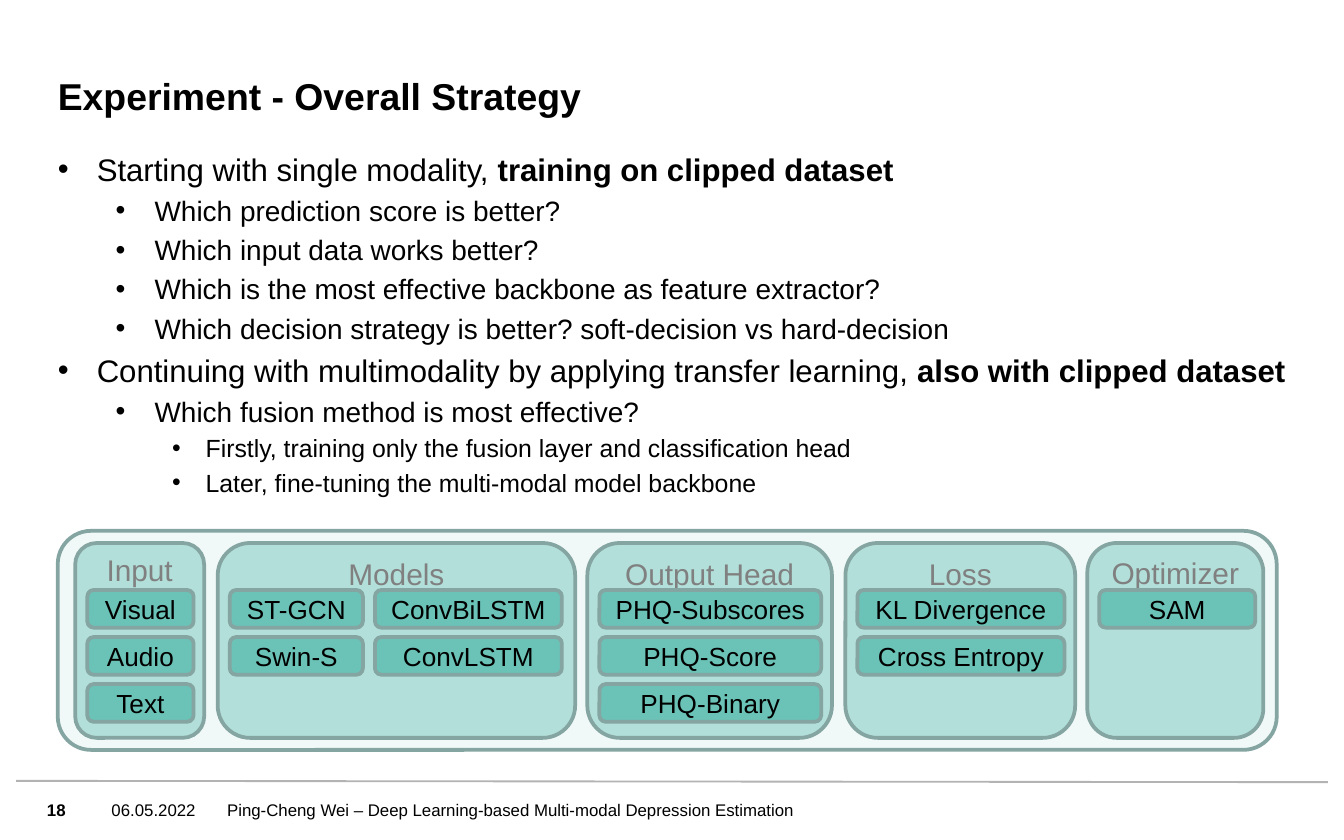
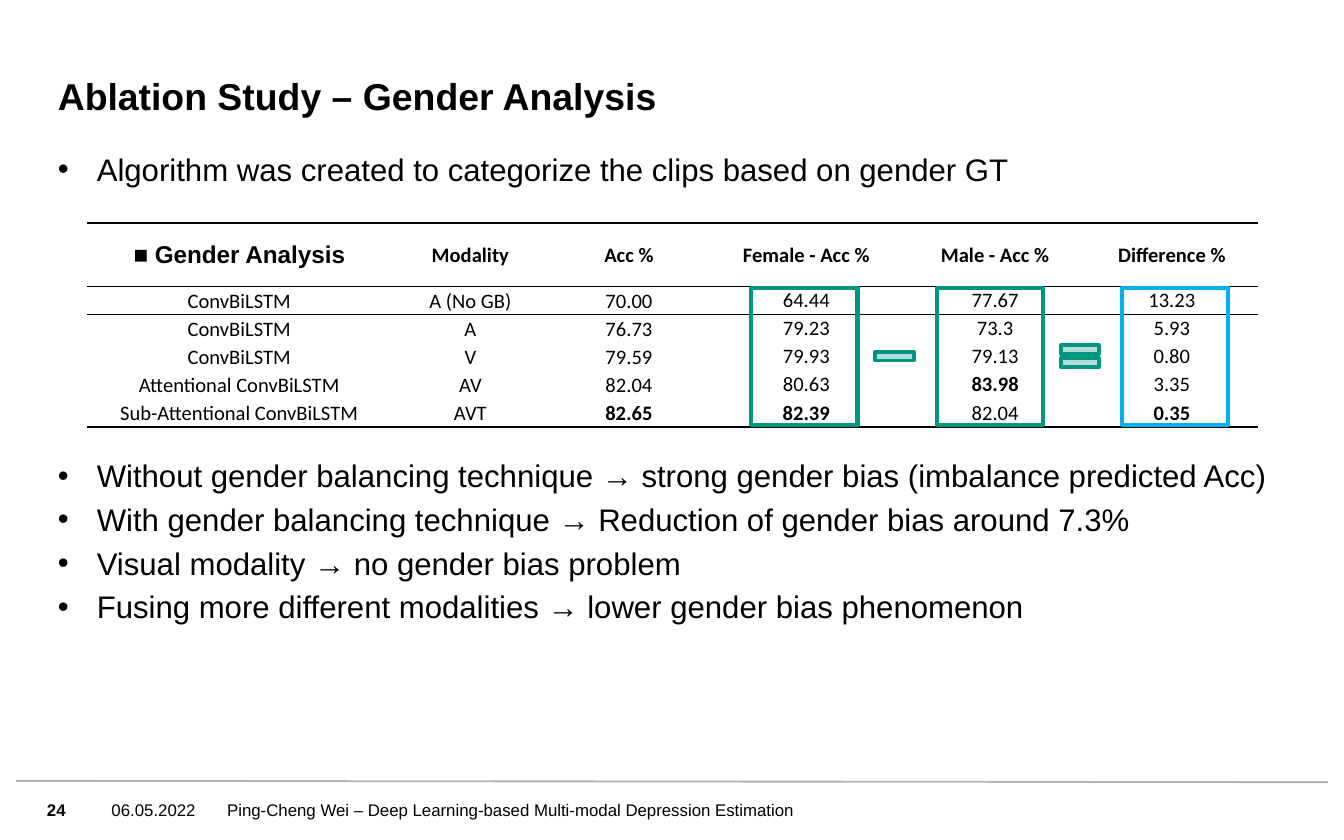
"""Build two slides on experiment strategy and gender analysis for depression estimation."""
import pptx
import pptx.dml.color
import pptx.enum.shapes
import pptx.enum.text
import pptx.oxml.ns
import pptx.util
from lxml import etree

Inches = pptx.util.Inches
Pt = pptx.util.Pt
RGBColor = pptx.dml.color.RGBColor
SHAPE = pptx.enum.shapes.MSO_SHAPE
ANCHOR = pptx.enum.text.MSO_ANCHOR
CENTER = pptx.enum.text.PP_ALIGN.CENTER
LEFT = pptx.enum.text.PP_ALIGN.LEFT
qn = pptx.oxml.ns.qn

BLACK = RGBColor(0x00, 0x00, 0x00)
GRAY = RGBColor(0x80, 0x80, 0x80)
RULE_GRAY = RGBColor(0xB3, 0xB3, 0xB3)
FRAME_MINT = RGBColor(0xF0, 0xF9, 0xF7)
PANEL_MINT = RGBColor(0xB2, 0xDF, 0xD9)
CHIP_TEAL = RGBColor(0x6B, 0xC2, 0xB6)
EDGE_TEAL = RGBColor(0x84, 0xA5, 0xA1)
GREEN = RGBColor(0x00, 0x96, 0x82)
BLUE = RGBColor(0x00, 0xB0, 0xF0)

NO_MARGINS = dict(margin_left=0, margin_top=0, margin_right=0, margin_bottom=0)
PLAIN_FRAME = dict(NO_MARGINS, word_wrap=True, auto_size=pptx.enum.text.MSO_AUTO_SIZE.NONE)
CELL_FORMAT = dict(margin_left=Inches(0.01), margin_top=Inches(0.01),
                   margin_right=Inches(0.01), margin_bottom=0)
LEVELS = [(16.7, 0.29, 0.29), (15, 0.72, 0.29), (13.3, 1.1, 0.25)]
TABLE_GAP = 144


def write(paragraph, text, size, color=BLACK, bold=False, align=LEFT, font="Arial"):
    paragraph.alignment = align
    run = paragraph.add_run()
    run.text = text
    for name, value in dict(name=font, size=Pt(size), bold=bold).items():
        setattr(run.font, name, value)
    run.font.color.rgb = color


def add_block(slide, kind, box, fill, edge, weight=2, text="", size=14, color=BLACK,
              anchor=ANCHOR.MIDDLE, top_margin=0):
    block = slide.shapes.add_shape(kind, *map(Inches, box))
    block.shadow.inherit = False
    if fill is None:
        block.fill.background()
    else:
        block.fill.solid()
        block.fill.fore_color.rgb = fill
    block.line.color.rgb = edge
    block.line.width = Pt(weight)
    if text:
        block_format = dict(PLAIN_FRAME, vertical_anchor=anchor, margin_top=Inches(top_margin))
        for name, value in block_format.items():
            setattr(block.text_frame, name, value)
        write(block.text_frame.paragraphs[0], text, size, color, align=CENTER)
    return block


deck = pptx.Presentation()
deck.slide_width, deck.slide_height = Inches(10), Inches(6.25)

contents = [
    ("18", "Experiment - Overall Strategy", [
        (0, "Starting with single modality, ", "training on clipped dataset", None),
        (1, "Which prediction score is better?", "", None),
        (1, "Which input data works better?", "", None),
        (1, "Which is the most effective backbone as feature extractor?", "", None),
        (1, "Which decision strategy is better? soft-decision vs hard-decision", "", None),
        (0, "Continuing with multimodality by applying transfer learning, ",
         "also with clipped dataset", None),
        (1, "Which fusion method is most effective?", "", None),
        (2, "Firstly, training only the fusion layer and classification head", "", None),
        (2, "Later, fine-tuning the multi-modal model backbone", "", None),
    ]),
    ("24", "Ablation Study – Gender Analysis", [
        (0, "Algorithm was created to categorize the clips based on gender GT", "", None),
        (0, "Without gender balancing technique → strong gender bias (imbalance predicted Acc)",
         "", TABLE_GAP),
        (0, "With gender balancing technique → Reduction of gender bias around 7.3%", "", None),
        (0, "Visual modality → no gender bias problem", "", None),
        (0, "Fusing more different modalities → lower gender bias phenomenon", "", None),
    ]),
]

for number, heading, points in contents:
    slide = deck.slides.add_slide(deck.slide_layouts[1])
    title, body = slide.placeholders
    for holder, box, anchor in [(title, (0.43, 0.37, 7.56, 0.51), ANCHOR.BOTTOM),
                                (body, (0.43, 1.12, 9.14, 4.46), ANCHOR.TOP)]:
        holder.left, holder.top, holder.width, holder.height = map(Inches, box)
        for name, value in dict(PLAIN_FRAME, vertical_anchor=anchor).items():
            setattr(holder.text_frame, name, value)
    write(title.text_frame.paragraphs[0], heading, 20, bold=True)

    for index, (level, plain, strong, gap) in enumerate(points):
        point = body.text_frame.add_paragraph() if index else body.text_frame.paragraphs[0]
        size, margin, hanging = LEVELS[level]
        point.level = level
        if index == 0:
            point.space_before = Pt(0)
        elif gap:
            point.space_before = Pt(gap)
        properties = point._p.get_or_add_pPr()
        properties.set("marL", str(Inches(margin)))
        properties.set("indent", str(-Inches(hanging)))
        etree.SubElement(properties, qn("a:buFont"), typeface="Arial")
        etree.SubElement(properties, qn("a:buChar"), char="•")
        write(point, plain, size)
        if strong:
            write(point, strong, size, bold=True)

    footer_rule = slide.shapes.add_connector(
        pptx.enum.shapes.MSO_CONNECTOR.STRAIGHT,
        Inches(0.12), Inches(5.81), Inches(9.88), Inches(5.82))
    footer_rule.line.color.rgb = RULE_GRAY
    footer_rule.line.width = Pt(1)
    etree.SubElement(footer_rule._element.spPr, qn("a:effectLst"))
    for left, width, words, bold in [
        (0.35, 0.36, number, True),
        (0.83, 0.94, "06.05.2022", False),
        (1.69, 5.2, "Ping-Cheng Wei – Deep Learning-based Multi-modal Depression Estimation", False),
    ]:
        footer = slide.shapes.add_textbox(Inches(left), Inches(5.83), Inches(width), Inches(0.39))
        for name, value in dict(PLAIN_FRAME, vertical_anchor=ANCHOR.MIDDLE).items():
            setattr(footer.text_frame, name, value)
        write(footer.text_frame.paragraphs[0], words, 9, bold=bold)

strategy, ablation = deck.slides

pipeline = add_block(strategy, SHAPE.ROUNDED_RECTANGLE, (0.43, 3.95, 9.07, 1.63),
                     FRAME_MINT, EDGE_TEAL)
pipeline.adjustments[0] = 0.152
stages = [
    ("Input", 0.56, 0.96, [(0.79, ["Visual", "Audio", "Text"])]),
    ("Models", 1.62, 2.66, [(0.99, ["ST-GCN", "Swin-S"]), (1.39, ["ConvBiLSTM", "ConvLSTM"])]),
    ("Output Head", 4.37, 1.82, [(1.65, ["PHQ-Subscores", "PHQ-Score", "PHQ-Binary"])]),
    ("Loss", 6.29, 1.71, [(1.54, ["KL Divergence", "Cross Entropy"])]),
    ("Optimizer", 8.09, 1.31, [(1.16, ["SAM"])]),
]
for stage, left, width, columns in stages:
    add_block(strategy, SHAPE.ROUNDED_RECTANGLE, (left, 4.04, width, 1.45), PANEL_MINT, EDGE_TEAL,
              text=stage, size=16, color=GRAY, anchor=ANCHOR.TOP, top_margin=0.02)
    option_left = left + 0.09
    for option_width, options in columns:
        for row, option in enumerate(options):
            add_block(strategy, SHAPE.ROUNDED_RECTANGLE,
                      (option_left, 4.39 + 0.35 * row, option_width, 0.28),
                      CHIP_TEAL, EDGE_TEAL, text=option)
        option_left += option_width + 0.09

results = [
    ["■ Gender Analysis", "Modality", "Acc %", "Female - Acc %", "Male - Acc %", "Difference %"],
    ["ConvBiLSTM", "A (No GB)", "70.00", "64.44", "77.67", "13.23"],
    ["ConvBiLSTM", "A", "76.73", "79.23", "73.3", "5.93"],
    ["ConvBiLSTM", "V", "79.59", "79.93", "79.13", "0.80"],
    ["Attentional ConvBiLSTM", "AV", "82.04", "80.63", "83.98", "3.35"],
    ["Sub-Attentional ConvBiLSTM", "AVT", "82.65", "82.39", "82.04", "0.35"],
]
best = {(4, 4), (5, 2), (5, 3), (5, 5)}
borders = {0: [("a:lnB", 0.5), ("a:lnT", 1)], 1: [("a:lnT", 0.5)], 5: [("a:lnB", 1)]}
accuracy = ablation.shapes.add_table(6, 6, Inches(0.65), Inches(1.66),
                                     Inches(8.71), Inches(1.51)).table
accuracy.first_row = accuracy.horz_banding = False
accuracy._tbl.tblPr.find(qn("a:tableStyleId")).text = "{2D5ABB26-0587-4C30-8999-92F81FD0307C}"
for column, width in zip(accuracy.columns, [2.26, 1.18, 1.18, 1.46, 1.35, 1.28]):
    column.width = Inches(width)
for r, values in enumerate(results):
    accuracy.rows[r].height = Inches(0.21 if r else 0.47)
    for c, value in enumerate(values):
        cell = accuracy.cell(r, c)
        cell.fill.background()
        cell_anchor = ANCHOR.TOP if r and c > 2 else ANCHOR.MIDDLE
        for name, setting in dict(CELL_FORMAT, vertical_anchor=cell_anchor).items():
            setattr(cell, name, setting)
        corner = r == c == 0
        write(cell.text_frame.paragraphs[0], value, 13 if corner else 11,
              bold=r == 0 or (r, c) in best, align=CENTER, font="Arial" if corner else "Calibri")
        for side, weight in borders.get(r, []):
            border = etree.Element(qn(side), w=str(Pt(weight)))
            ink = etree.SubElement(border, qn("a:solidFill"))
            etree.SubElement(ink, qn("a:srgbClr"), val=str(BLACK))
            cell._tc.get_or_add_tcPr().insert(0, border)

for left, edge in [(5.59, GREEN), (6.97, GREEN), (8.35, BLUE)]:
    add_block(ablation, SHAPE.RECTANGLE, (left, 2.14, 0.79, 1.02), None, edge, 2.25)
for sign, left in [(SHAPE.MATH_MINUS, 6.46), (SHAPE.MATH_EQUAL, 7.84)]:
    add_block(ablation, sign, (left, 2.51, 0.39, 0.28), PANEL_MINT, GREEN)

deck.save("out.pptx")
